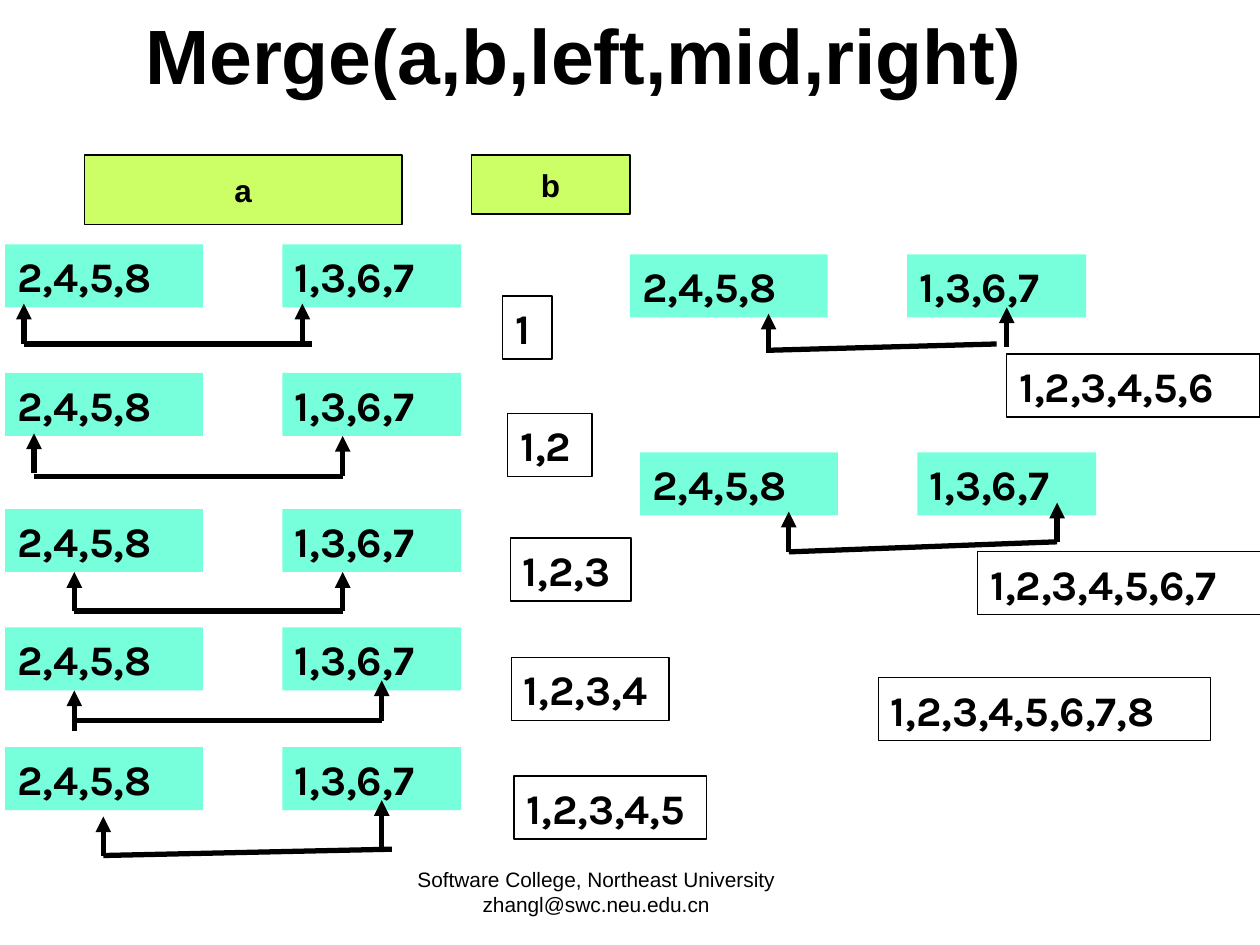
from dataclasses import dataclass

from lxml import etree
from pptx import Presentation
from pptx.dml.color import RGBColor
from pptx.enum.shapes import MSO_CONNECTOR as Connector, MSO_SHAPE as Shape
from pptx.enum.text import MSO_ANCHOR as Anchor, PP_ALIGN as Align
from pptx.oxml.ns import qn
from pptx.util import Inches, Pt


@dataclass(frozen=True)
class Theme:
    ink: RGBColor = RGBColor(0, 0, 0)
    paper: RGBColor = RGBColor(0xFF, 0xFF, 0xFF)
    run_fill: RGBColor = RGBColor(0x77, 0xFF, 0xDB)
    label_fill: RGBColor = RGBColor(0xCC, 0xFF, 0x66)
    text_font: str = "Arial"
    number_font: str = "Karla"
    title_size: float = 44
    label_size: float = 18
    number_size: float = 24
    footer_size: float = 11.9
    outline: float = 0.75
    pointer: float = 3


THEME = Theme()
BOX_HEIGHT = 0.5
LEFT_RUN, RIGHT_RUN = "2,4,5,8", "1,3,6,7"
RIGHT_RUN_OFFSET = 2.2


@dataclass(frozen=True)
class Step:
    """One comparison: run position, two pointers (x, top, bottom), their bar."""
    left: float
    top: float
    pointers: tuple
    bar: tuple
    merged: str
    merged_at: tuple  # left, top, width


STEPS = [
    Step(0.04, 1.94, ((0.19, 2.41, 2.73), (2.4, 2.41, 2.73)),
         (0.19, 2.73, 2.48, 2.73), "1", (3.99, 2.35, 0.39)),
    Step(0.04, 2.96, ((0.27, 3.44, 3.75), (2.72, 3.46, 3.78)),
         (0.27, 3.78, 2.72, 3.78), "1,2", (4.03, 3.28, 0.67)),
    Step(0.04, 4.04, ((0.59, 4.54, 4.85), (2.72, 4.54, 4.85)),
         (0.59, 4.85, 2.72, 4.85), "1,2,3", (4.05, 4.27, 0.96)),
    Step(0.04, 4.98, ((0.59, 5.48, 5.8), (3.03, 5.4, 5.72)),
         (0.59, 5.72, 3.03, 5.72), "1,2,3,4", (4.06, 5.22, 1.25)),
    Step(0.04, 5.93, ((0.82, 6.48, 6.79), (3.03, 6.35, 6.74)),
         (0.82, 6.79, 3.11, 6.74), "1,2,3,4,5", (4.08, 6.16, 1.53)),
    Step(5, 2.02, ((6.1, 2.49, 2.8), (7.99, 2.44, 2.75)),
         (6.1, 2.78, 7.91, 2.73), "1,2,3,4,5,6", (7.99, 2.81, 2.01)),
    Step(5.08, 3.59, ((6.26, 4.06, 4.38), (8.39, 3.99, 4.3)),
         (6.26, 4.38, 8.39, 4.3), "1,2,3,4,5,6,7", (7.76, 4.38, 2.32)),
]


def write(shape, text, size, font, bold=True, align=Align.CENTER,
          anchor=Anchor.MIDDLE):
    frame = shape.text_frame
    frame.word_wrap = True
    frame.vertical_anchor = anchor
    frame.text = text
    paragraph = frame.paragraphs[0]
    paragraph.alignment = align
    for run in paragraph.runs:
        run.font.name = font
        run.font.size = Pt(size)
        run.font.bold = bold
        run.font.color.rgb = THEME.ink


def add_text(slide, box, text, size, **style):
    write(slide.shapes.add_textbox(*map(Inches, box)), text, size,
          THEME.text_font, **style)


def add_box(slide, box, fill, outlined):
    rect = slide.shapes.add_shape(Shape.RECTANGLE, *map(Inches, box))
    rect.shadow.inherit = False
    rect.fill.solid()
    rect.fill.fore_color.rgb = fill
    if outlined:
        rect.line.color.rgb = THEME.ink
        rect.line.width = Pt(THEME.outline)
    else:
        rect.line.fill.background()
    return rect


def add_label(slide, box, text):
    write(add_box(slide, box, THEME.label_fill, True), text,
          THEME.label_size, THEME.text_font)


def add_numbers(slide, left, top, width, text, fill=THEME.paper, outlined=True):
    rect = add_box(slide, (left, top, width, BOX_HEIGHT), fill, outlined)
    write(rect, text, THEME.number_size, THEME.number_font,
          align=Align.LEFT, anchor=Anchor.TOP)


def add_line(slide, x1, y1, x2, y2, arrow=False):
    line = slide.shapes.add_connector(
        Connector.STRAIGHT, *map(Inches, (x1, y1, x2, y2)))
    line.line.color.rgb = THEME.ink
    line.line.width = Pt(THEME.pointer)
    if arrow:
        head = etree.SubElement(line.line._get_or_add_ln(), qn("a:headEnd"))
        head.set("type", "triangle")
    etree.SubElement(line._element.spPr, qn("a:effectLst"))


def add_step(slide, step):
    # Sorted runs
    add_numbers(slide, step.left, step.top, 1.57, LEFT_RUN,
                THEME.run_fill, False)
    add_numbers(slide, step.left + RIGHT_RUN_OFFSET, step.top, 1.42, RIGHT_RUN,
                THEME.run_fill, False)
    # Pointers joined by a bar
    for x, tip, foot in step.pointers:
        add_line(slide, x, tip, x, foot, arrow=True)
    add_line(slide, *step.bar)
    # Merged so far
    add_numbers(slide, *step.merged_at, step.merged)


def main():
    deck = Presentation()
    deck.slide_width, deck.slide_height = Inches(10), Inches(7.5)
    slide = deck.slides.add_slide(deck.slide_layouts[6])

    # Title and footer
    add_text(slide, (0.51, 0, 8.25, 0.86), "Merge(a,b,left,mid,right)",
             THEME.title_size)
    add_text(slide, (2.72, 6.83, 4.02, 0.52),
             "Software College, Northeast University zhangl@swc.neu.edu.cn",
             THEME.footer_size, bold=False, anchor=Anchor.TOP)

    # Array names
    add_label(slide, (0.67, 1.23, 2.52, 0.55), "a")
    add_label(slide, (3.74, 1.23, 1.26, 0.47), "b")

    # Merge steps and the final array
    for step in STEPS:
        add_step(slide, step)
    add_numbers(slide, 6.97, 5.38, 2.64, "1,2,3,4,5,6,7,8")

    deck.save("out.pptx")


if __name__ == "__main__":
    main()
